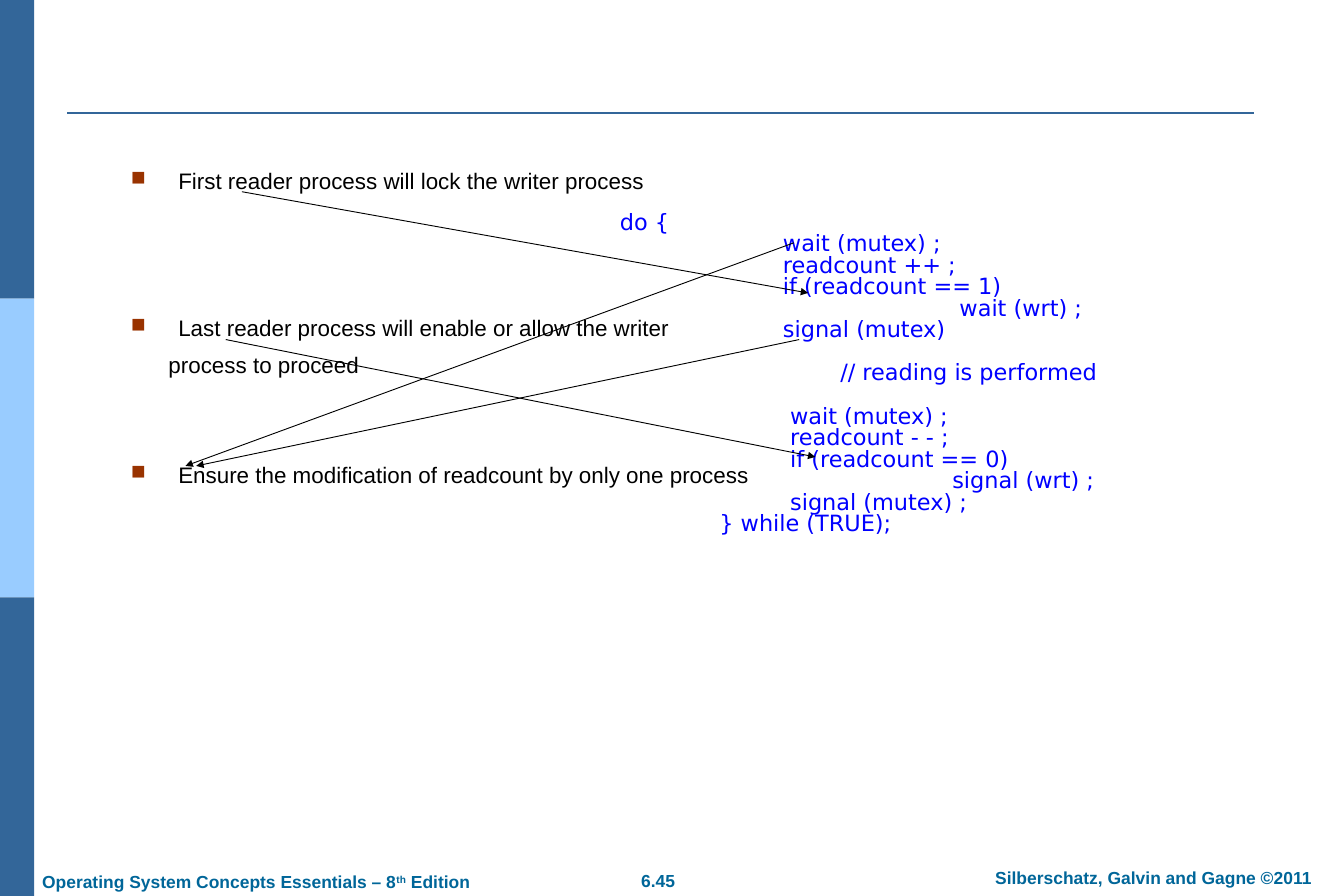
from lxml import etree
from pptx import Presentation
from pptx import util as u
from pptx.dml.color import RGBColor
from pptx.enum import shapes, text
from pptx.oxml.ns import qn

# Slide grid: 15 columns by 10 rows
COLS, ROWS = 15, 10
W, H = u.Inches(15), u.Inches(10)
COLORS = {"bar": "336699", "accent": "99CCFF", "footer": "006699",
          "bullet": "993300", "code": "0000FF", "ink": "000000"}

# Spacing in points
BULLET_GAP, BULLET_LINE, CODE_LINE = 7.9, 29.5, 17.3

# Text, bulleted or not, blank lines above
NOTES = [
    ("First reader process will lock the writer process", True, 0),
    ("Last reader process will enable or allow the writer", True, 3),
    ("process to proceed", False, 0),
    ("Ensure the modification of readcount by only one process", True, 2),
]

# Text, indent in columns, blank lines above
ENTRY, EXIT = 1.82, 1.9
CODE = [
    ("do {", 0, 0),
    ("wait (mutex) ;", ENTRY, 0),
    ("readcount ++ ;", ENTRY, 0),
    ("if (readcount == 1)", ENTRY, 0),
    ("wait (wrt) ;", 3.79, 0),
    ("signal (mutex)", ENTRY, 0),
    ("// reading is performed", 2.46, 1),
    ("wait (mutex) ;", EXIT, 1),
    ("readcount - - ;", EXIT, 0),
    ("if (readcount == 0)", EXIT, 0),
    ("signal (wrt) ;", 3.71, 0),
    ("signal (mutex) ;", EXIT, 0),
    ("} while (TRUE);", 1.11, 0),
]

# Start and end of each arrow
ARROWS = [
    ((2.7, 2.14), (9.02, 3.27)),
    ((2.52, 3.79), (9.1, 5.1)),
    ((8.86, 2.71), (2.07, 5.2)),
    ((8.92, 3.79), (2.19, 5.2)),
]


def col(n):
    return round(W * n / COLS)


def row(n):
    return round(H * n / ROWS)


def rgb(name):
    return RGBColor.from_string(COLORS[name])


def add_bar(s, x, y, w, h, color):
    sp = s.shapes.add_shape(shapes.MSO_SHAPE.RECTANGLE, col(x), row(y), col(w), row(h))
    sp.shadow.inherit = False
    sp.fill.solid()
    sp.fill.fore_color.rgb = rgb(color)
    sp.line.fill.background()


def add_line(s, start, end, color, width, arrow=False):
    sp = s.shapes.add_connector(shapes.MSO_CONNECTOR.STRAIGHT,
                                col(start[0]), row(start[1]), col(end[0]), row(end[1]))
    sp.line.color.rgb = rgb(color)
    sp.line.width = u.Pt(width)
    if arrow:
        etree.SubElement(sp.line._get_or_add_ln(), qn("a:tailEnd"), type="triangle")
    etree.SubElement(sp._element.spPr, qn("a:effectLst"))


def add_box(s, x, y, w, h, inset=(0.14, 0.07)):
    tf = s.shapes.add_textbox(col(x), row(y), col(w), row(h)).text_frame
    tf.word_wrap = True
    tf.margin_left = tf.margin_right = col(inset[0])
    tf.margin_top = tf.margin_bottom = row(inset[1])
    return tf


def add_text(p, words, size=18, font="Arial", color="ink", bold=False, raised=False):
    r = p.add_run()
    r.text = words
    r.font.size = u.Pt(size)
    r.font.name = font
    r.font.bold = bold
    r.font.color.rgb = rgb(color)
    if raised:
        r._r.get_or_add_rPr().set("baseline", "30000")


def next_paragraph(tf, i):
    return tf.add_paragraph() if i else tf.paragraphs[0]


def set_indent(p, left, first=0):
    pPr = p._p.get_or_add_pPr()
    pPr.set("marL", str(col(left)))
    pPr.set("indent", str(col(first)))
    return pPr


def add_bullet(p):
    pPr = set_indent(p, 0.53, -0.53)
    clr = etree.SubElement(pPr, qn("a:buClr"))
    etree.SubElement(clr, qn("a:srgbClr"), val=COLORS["bullet"])
    etree.SubElement(pPr, qn("a:buSzPct"), val="90000")
    etree.SubElement(pPr, qn("a:buChar"), char="■")


def add_frame(s):
    for i, color in enumerate(("bar", "accent", "bar")):
        add_bar(s, 0, i * ROWS / 3, 0.38, ROWS / 3, color)
    add_line(s, (0.75, 1.26), (14, 1.26), "bar", 1.5)


def add_footer(s, x, y, w, parts, align=text.PP_ALIGN.CENTER):
    p = add_box(s, x, y, w, 0.38).paragraphs[0]
    p.alignment = align
    for words, raised in parts:
        add_text(p, words, size=14, color="footer", bold=True, raised=raised)


def add_notes(s):
    tf = add_box(s, 1.32, 1.8, 13.5, 6.61)
    for i, (words, bulleted, blanks) in enumerate(NOTES):
        p = next_paragraph(tf, i)
        p.space_before = u.Pt(BULLET_GAP + blanks * BULLET_LINE)
        if bulleted:
            add_bullet(p)
        else:
            set_indent(p, 0.42)
        add_text(p, words)


def add_code(s):
    tf = add_box(s, 6.82, 2.33, 7.55, 3.94, inset=(0.1, 0.05))
    for i, (words, indent, blanks) in enumerate(CODE):
        p = next_paragraph(tf, i)
        p.line_spacing = 0.8
        p.space_before = u.Pt(blanks * CODE_LINE)
        set_indent(p, indent)
        add_text(p, words, font="DejaVu Sans", color="code")


def main():
    prs = Presentation()
    prs.slide_width, prs.slide_height = W, H
    s = prs.slides.add_slide(prs.slide_layouts[6])

    # Side bars, title rule and footer
    add_frame(s)
    add_footer(s, 6.65, 9.64, 1.39, [("6.45", False)])
    add_footer(s, 10.65, 9.61, 4.45, [("Silberschatz, Galvin and Gagne ©2011", False)])
    add_footer(s, 0.33, 9.65, 5.06,
               [("Operating System Concepts Essentials – 8", False), ("th", True),
                (" Edition", False)], align=text.PP_ALIGN.LEFT)

    # Explanations, code and the arrows between them
    add_notes(s)
    add_code(s)
    for start, end in ARROWS:
        add_line(s, start, end, "ink", 0.75, arrow=True)

    prs.save("out.pptx")


if __name__ == "__main__":
    main()
